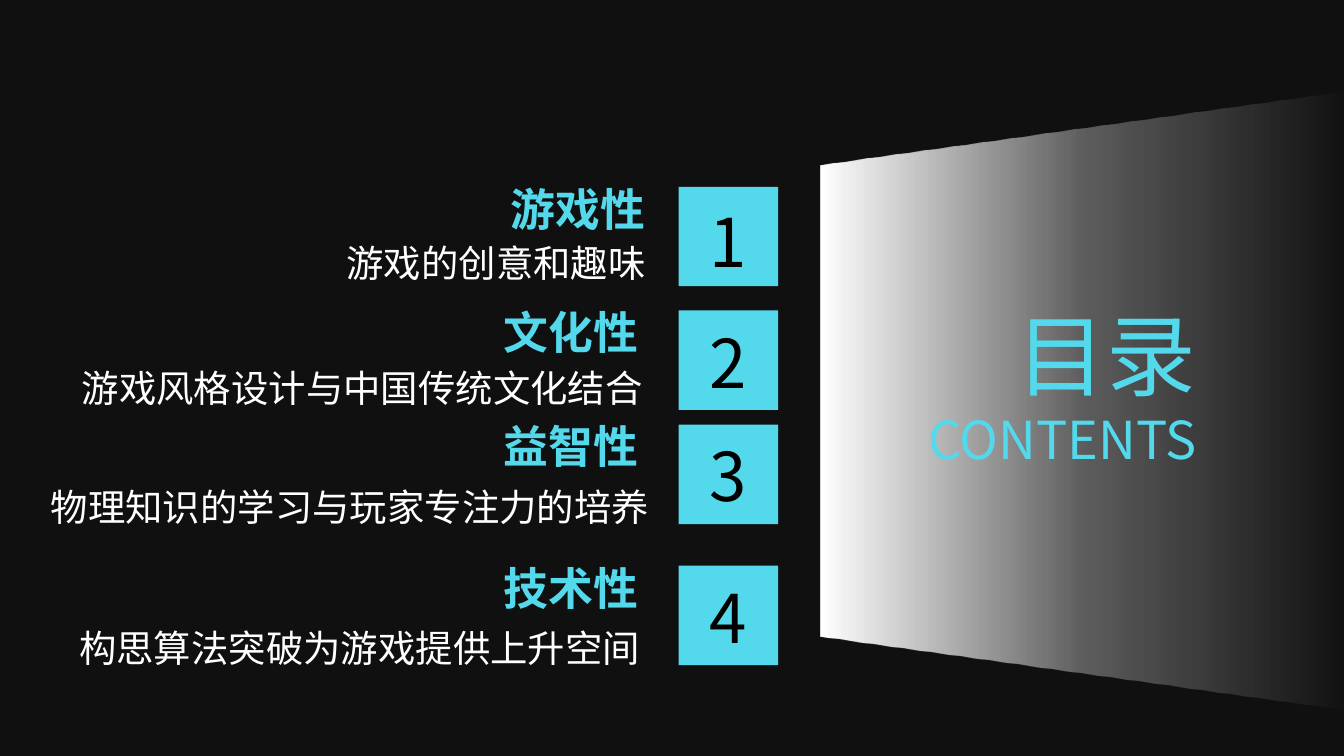
"""Build a dark contents slide with four numbered topics and a fading side panel."""
from lxml import etree
from pptx import Presentation
from pptx.dml.color import RGBColor
from pptx.enum import shapes, text
from pptx.oxml import parse_xml
from pptx.oxml.ns import nsdecls, qn
from pptx.util import Inches, Pt

COLORS = {"background": "101010", "accent": "53D9EB", "white": "FFFFFF", "black": "000000"}
SC, JP = "Noto Sans CJK SC", "Noto Sans CJK JP"
TITLE = [("目录", 48), ("CONTENTS", 28)]
TOPICS = [
    {"head": "游戏性", "detail": "游戏的创意和趣味", "square_top": 1.39, "number_top": 1.44,
     "head_at": (3.7, 1.3), "detail_at": (2.48, 1.74, 2.45)},
    {"head": "文化性", "detail": "游戏风格设计与中国传统文化结合", "square_top": 2.31, "number_top": 2.34,
     "head_at": (3.65, 2.22), "detail_at": (0.51, 2.67, 4.55)},
    {"head": "益智性", "detail": "物理知识的学习与玩家专注力的培养", "square_top": 3.16, "number_top": 3.18,
     "head_at": (3.65, 3.07), "detail_at": (0.28, 3.55, 4.69)},
    {"head": "技术性", "detail": "构思算法突破为游戏提供上升空间", "square_top": 4.21, "number_top": 4.24,
     "head_at": (3.65, 4.12), "detail_at": (0.49, 4.6, 4.41)},
]
FADE = [(0, 100), (50, 32), (100, 0)]
SQUARE_LEFT, SQUARE_SIZE, NUMBER_LEFT = 5.05, 0.74, 5.18


def rgb(name):
    return RGBColor.from_string(COLORS[name])


def format_run(r, size, color, font, bold=False):
    r.font.size, r.font.bold, r.font.name = Pt(size), bold, font
    r.font.color.rgb = rgb(color)
    etree.SubElement(r.font._element, qn("a:ea")).set("typeface", font)


def add_label(slide, label, box, size, color, font, bold=False):
    tf = slide.shapes.add_textbox(*map(Inches, box)).text_frame
    tf.text = label
    tf.word_wrap = False
    tf.auto_size = text.MSO_AUTO_SIZE.SHAPE_TO_FIT_TEXT
    format_run(tf.paragraphs[0].runs[0], size, color, font, bold)


def add_panel(slide):
    sp = slide.shapes.add_shape(shapes.MSO_SHAPE.TRAPEZOID, *map(Inches, (5.76, 1.03, 4.59, 3.9)))
    sp.rotation, sp.adjustments[0] = 270, 0.14
    sp.shadow.inherit = False
    sp.line.fill.background()
    stops = "".join(
        f'<a:gs pos="{pos * 1000}"><a:srgbClr val="{COLORS["white"]}">'
        f'<a:alpha val="{alpha * 1000}"/></a:srgbClr></a:gs>' for pos, alpha in FADE)
    fill = parse_xml(f'<a:gradFill {nsdecls("a")} rotWithShape="1"><a:gsLst>{stops}</a:gsLst>'
                     '<a:lin ang="5400000" scaled="0"/></a:gradFill>')
    sp._element.spPr.find(qn("a:prstGeom")).addnext(fill)


def add_topic(slide, number, topic):
    square = (SQUARE_LEFT, topic["square_top"], SQUARE_SIZE, SQUARE_SIZE)
    sp = slide.shapes.add_shape(shapes.MSO_SHAPE.RECTANGLE, *map(Inches, square))
    sp.shadow.inherit = False
    sp.fill.solid()
    sp.fill.fore_color.rgb = rgb("accent")
    sp.line.fill.background()
    add_label(slide, topic["head"], (*topic["head_at"], 1.21, 0.5), 24, "accent", SC, True)
    add_label(slide, topic["detail"], (*topic["detail_at"], 0.44), 20, "white", SC)
    add_label(slide, str(number), (NUMBER_LEFT, topic["number_top"], 0.5, 0.71), 36, "black", JP)


def place_title(slide):
    title = slide.shapes.title
    title.left, title.top, title.width, title.height = map(Inches, (6.65, 2.18, 2.35, 1.38))
    tf = title.text_frame
    tf.text = "\n".join(line for line, _ in TITLE)
    tf.word_wrap = False
    tf.auto_size = text.MSO_AUTO_SIZE.SHAPE_TO_FIT_TEXT
    tf.vertical_anchor = text.MSO_ANCHOR.TOP
    for p, (_, size) in zip(tf.paragraphs, TITLE):
        p.alignment = text.PP_ALIGN.RIGHT
        format_run(p.runs[0], size, "accent", SC)
    slide.shapes._spTree.append(title._element)


def main():
    prs = Presentation()
    prs.slide_width = Inches(10)
    prs.slide_height = prs.slide_width * 9 // 16
    slide = prs.slides.add_slide(prs.slide_layouts[5])
    slide.background.fill.solid()
    slide.background.fill.fore_color.rgb = rgb("background")
    add_panel(slide)
    for number, topic in enumerate(TOPICS, 1):
        add_topic(slide, number, topic)
    place_title(slide)
    prs.save("out.pptx")


if __name__ == "__main__":
    main()
